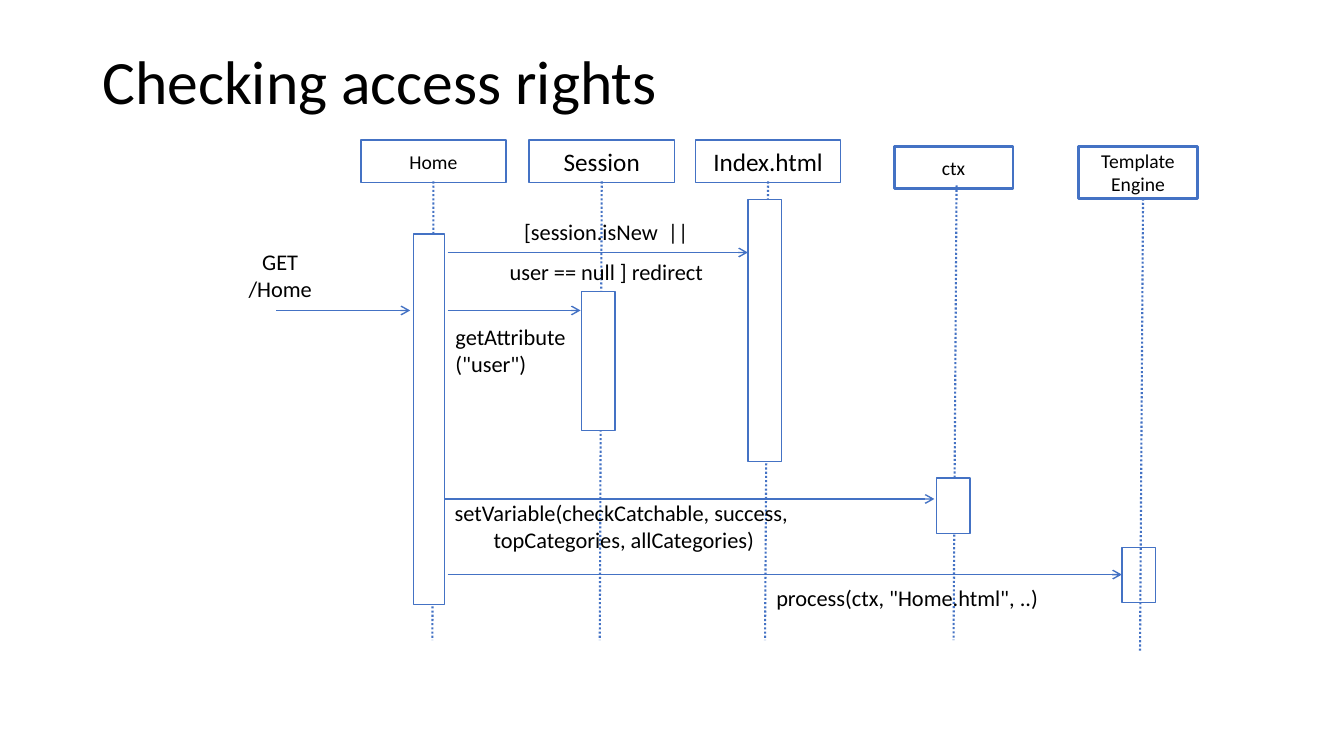
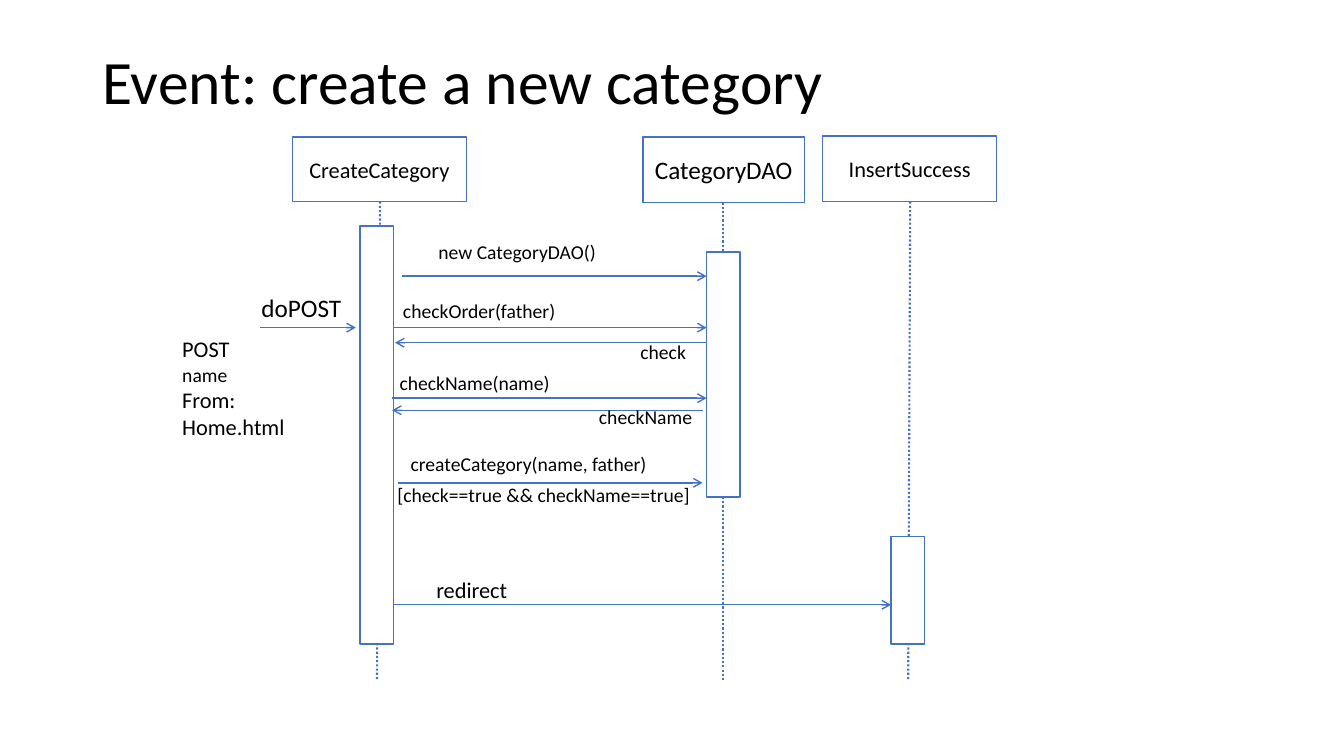
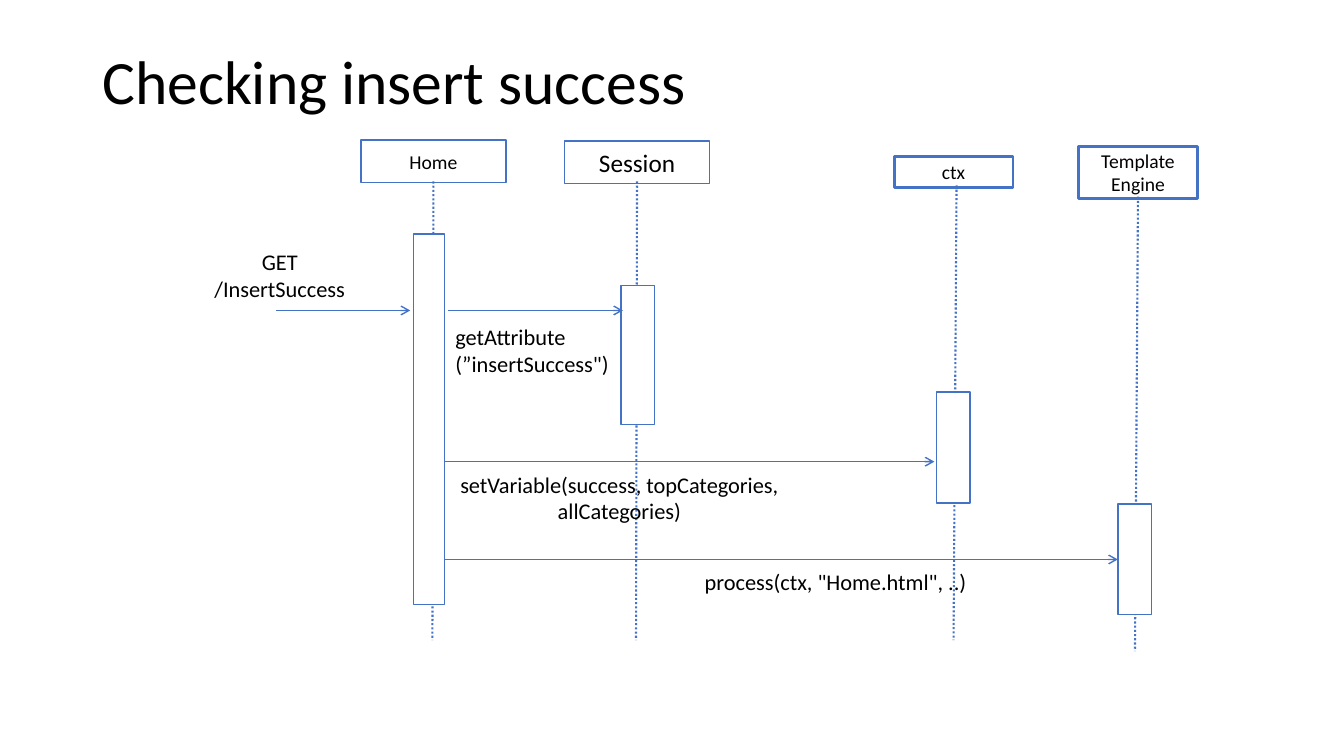
from lxml import etree
from pptx import Presentation
from pptx import util as u
from pptx.dml.color import RGBColor
from pptx.enum import dml, shapes, text
from pptx.oxml.ns import qn

BLUE = RGBColor(0x44, 0x72, 0xC4)
WHITE = RGBColor(0xFF, 0xFF, 0xFF)
BLACK = RGBColor(0, 0, 0)
FONT = "Calibri"

# The slide is a grid of 40 columns by 30 rows; an activation bar is one column wide.
COLUMNS, ROWS = 40, 30
SLIDE_WIDTH, SLIDE_HEIGHT = u.Inches(40 / 3), u.Inches(7.5)

LEFT, CENTER = text.PP_ALIGN.LEFT, text.PP_ALIGN.CENTER
MIDDLE = text.MSO_ANCHOR.MIDDLE


def across(columns):
    return u.Emu(round(columns * SLIDE_WIDTH / COLUMNS))


def down(rows):
    return u.Emu(round(rows * SLIDE_HEIGHT / ROWS))


def place(area):
    left, top, width, height = area
    return across(left), down(top), across(width), down(height)


def write(shape, wording, size, align=CENTER, spacing=1.0):
    """Fill a shape with one paragraph per line of wording."""
    frame = shape.text_frame
    frame.text = wording
    font_format = {"name": FONT, "size": u.Pt(size)}
    for paragraph in frame.paragraphs:
        paragraph.alignment = align
        paragraph.line_spacing = spacing
        for run in paragraph.runs:
            run.font.color.rgb = BLACK
            for key, value in font_format.items():
                setattr(run.font, key, value)


def format_frame(shape, **values):
    for key, value in values.items():
        setattr(shape.text_frame, key, value)


def add_title(slide, wording):
    title = slide.shapes.add_textbox(*place((2.75, 1.6, 34.5, 3.48)))
    format_frame(title, word_wrap=True, vertical_anchor=MIDDLE)
    write(title, wording, 44, LEFT, 0.9)


def add_label(slide, wording, area, size=16, align=CENTER, wrap=False, spacing=1.0):
    label = slide.shapes.add_textbox(*place(area))
    format_frame(label, word_wrap=wrap, auto_size=text.MSO_AUTO_SIZE.SHAPE_TO_FIT_TEXT)
    write(label, wording, size, align, spacing)
    return label


def add_box(slide, area, weight=1):
    box = slide.shapes.add_shape(shapes.MSO_SHAPE.RECTANGLE, *place(area))
    box.shadow.inherit = False
    box.fill.solid()
    box.fill.fore_color.rgb = WHITE
    box.line.color.rgb = BLUE
    box.line.width = u.Pt(weight)
    return box


def add_line(slide, start, end, weight):
    line = slide.shapes.add_connector(
        shapes.MSO_CONNECTOR.STRAIGHT,
        across(start[0]), down(start[1]), across(end[0]), down(end[1]))
    line.line.color.rgb = BLUE
    line.line.width = u.Pt(weight)
    etree.SubElement(line._element.spPr, qn("a:effectLst"))
    return line


def add_message(slide, start, end, row):
    """Draw a horizontal arrow between two columns."""
    arrow = add_line(slide, (start, row), (end, row), 1)
    outline = arrow.line._get_or_add_ln()
    etree.SubElement(outline, qn("a:tailEnd"), type="arrow")


def add_participant(slide, name, head, lifeline, bar, size=14, weight=1, bar_behind=False):
    """Draw a named head, its dotted lifeline and its activation bar."""
    head_box = add_box(slide, head, weight)
    format_frame(head_box, word_wrap=True, vertical_anchor=MIDDLE)
    write(head_box, name, size)
    if bar_behind:
        add_box(slide, bar)
    dotted = add_line(slide, *lifeline, 1.5)
    dotted.line.dash_style = dml.MSO_LINE.ROUND_DOT
    if not bar_behind:
        add_box(slide, bar)


def add_home(slide, request, request_area):
    """Draw the Home participant and the request that reaches it."""
    add_participant(slide, "Home", (10.74, 5.56, 4.32, 1.68),
                    ((12.9, 7.2), (12.87, 25.4)), (12.3, 9.28, 0.93, 14.72))
    add_message(slide, 8.22, 12.21, 12.32)
    add_label(slide, request, request_area)


def add_session(slide, left, top, lifeline_columns, bar):
    first, last = lifeline_columns
    add_participant(slide, "Session", (left, top, 4.32, 1.68),
                    ((first, 7.2), (last, 25.4)), bar, 18)


def add_context(slide, top, height, bar_top, bar_height):
    add_participant(slide, "ctx", (26.61, top, 3.54, height),
                    ((28.47, 7.36), (28.38, 25.4)),
                    (27.87, bar_top, 1, bar_height), weight=2)


def add_engine(slide, lifeline, bar, bar_behind=False):
    add_participant(slide, "Template\nEngine", (32.1, 5.8, 3.54, 2.08),
                    lifeline, bar, weight=2, bar_behind=bar_behind)


def add_process_label(slide, left, top):
    add_label(slide, 'process(ctx, "Home.html", ..)', (left, top, 8.46, 1.44))


def build_access_rights(slide):
    add_title(slide, "Checking access rights")
    add_home(slide, "GET\n/Home", (7.08, 9.64, 2.52, 2.56))
    add_session(slide, 15.75, 5.56, (17.91, 17.85), (17.31, 11.56, 1, 5.52))
    add_participant(slide, "Index.html", (20.7, 5.56, 4.32, 1.68),
                    ((22.86, 7.2), (22.77, 25.4)), (22.26, 7.92, 1, 10.4), 18)
    add_context(slide, 5.8, 1.68, 18.96, 2.2)
    add_engine(slide, ((34.02, 7.88), (33.93, 25.88)), (33.39, 21.72, 1, 2.2), True)

    for message in ((13.32, 22.26, 10.02), (13.32, 17.28, 12.32),
                    (13.26, 27.81, 19.8), (13.32, 33.39, 22.8)):
        add_message(slide, *message)
    add_label(slide, "[session.isNew  ||\nuser == null ] redirect",
              (14.34, 7.92, 7.41, 3.48), wrap=True, spacing=1.5)
    add_label(slide, 'getAttribute\n("user")', (13.26, 12.64, 4.56, 2.56),
              align=LEFT, wrap=True)
    add_label(slide, "setVariable(checkCatchable, success, \ntopCategories, allCategories)",
              (13.17, 19.6, 10.8, 2.56))
    add_process_label(slide, 22.77, 23)


def build_new_category(slide):
    add_title(slide, "Event: create a new category")
    add_participant(slide, "CreateCategory", (8.7, 5.44, 5.19, 2.56),
                    ((11.31, 8), (11.22, 27)), (10.71, 8.96, 1, 16.6), 16)
    add_participant(slide, "CategoryDAO", (19.14, 5.44, 4.8, 2.6),
                    ((21.51, 8.04), (21.51, 27)), (21.03, 10, 1, 9.72), 18)
    add_participant(slide, "InsertSuccess", (24.48, 5.4, 5.19, 2.6),
                    ((27.09, 8), (27.03, 27)), (26.52, 21.28, 1, 4.28), 16)

    for message in ((7.74, 10.59, 13), (11.97, 21.03, 10.96), (11.73, 21.03, 13),
                    (21.03, 11.76, 13.6), (11.67, 21.03, 15.8), (20.91, 11.67, 16.28),
                    (11.85, 20.91, 19.16), (11.73, 26.52, 24)):
        add_message(slide, *message)

    for wording, left, top, width in (
            ("new CategoryDAO()", 12.72, 9.32, 5.34),
            ("checkOrder(father)", 11.67, 11.68, 5.19),
            ("check", 18.75, 13.28, 1.98),
            ("checkName(name)", 11.58, 14.52, 5.1),
            ("checkName", 17.52, 15.88, 3.39),
            ("createCategory(name, father)", 11.88, 17.72, 7.71),
            ("[check==true && checkName==true]", 11.49, 18.96, 9.39)):
        add_label(slide, wording, (left, top, width, 1.36), 14)
    add_label(slide, "redirect", (12.66, 22.68, 2.76, 1.48))
    add_label(slide, "doPOST", (7.47, 11.4, 3, 1.6), 18)
    request = add_label(slide, "POST\nname\nFrom:\nHome.html",
                        (5.13, 13.12, 5.88, 4.56), align=LEFT, wrap=True)
    request.text_frame.paragraphs[1].runs[0].font.size = u.Pt(14)


def build_insert_success(slide):
    add_title(slide, "Checking insert success")
    add_home(slide, "GET\n/InsertSuccess", (6.06, 9.64, 4.53, 2.56))
    add_session(slide, 16.8, 5.6, (18.96, 18.93), (18.48, 11.32, 1, 5.52))
    add_context(slide, 6.2, 1.24, 15.56, 4.4)
    add_engine(slide, ((33.87, 7.8), (33.78, 25.84)), (33.27, 20, 1, 4.4))

    for message in ((13.32, 18.54, 12.32), (13.26, 27.81, 18.32), (13.26, 33.27, 22.2)):
        add_message(slide, *message)
    add_label(slide, 'getAttribute\n(”insertSuccess")', (13.26, 12.64, 5.61, 2.56),
              align=LEFT, wrap=True)
    add_label(slide, "setVariable(success, topCategories, allCategories)",
              (11.91, 18.48, 13.05, 2.56), wrap=True)
    add_process_label(slide, 20.64, 22.36)


def main():
    presentation = Presentation()
    presentation.slide_width = SLIDE_WIDTH
    presentation.slide_height = SLIDE_HEIGHT
    blank = presentation.slide_layouts[6]
    for build in (build_access_rights, build_new_category, build_insert_success):
        build(presentation.slides.add_slide(blank))
    presentation.save("out.pptx")


if __name__ == "__main__":
    main()
